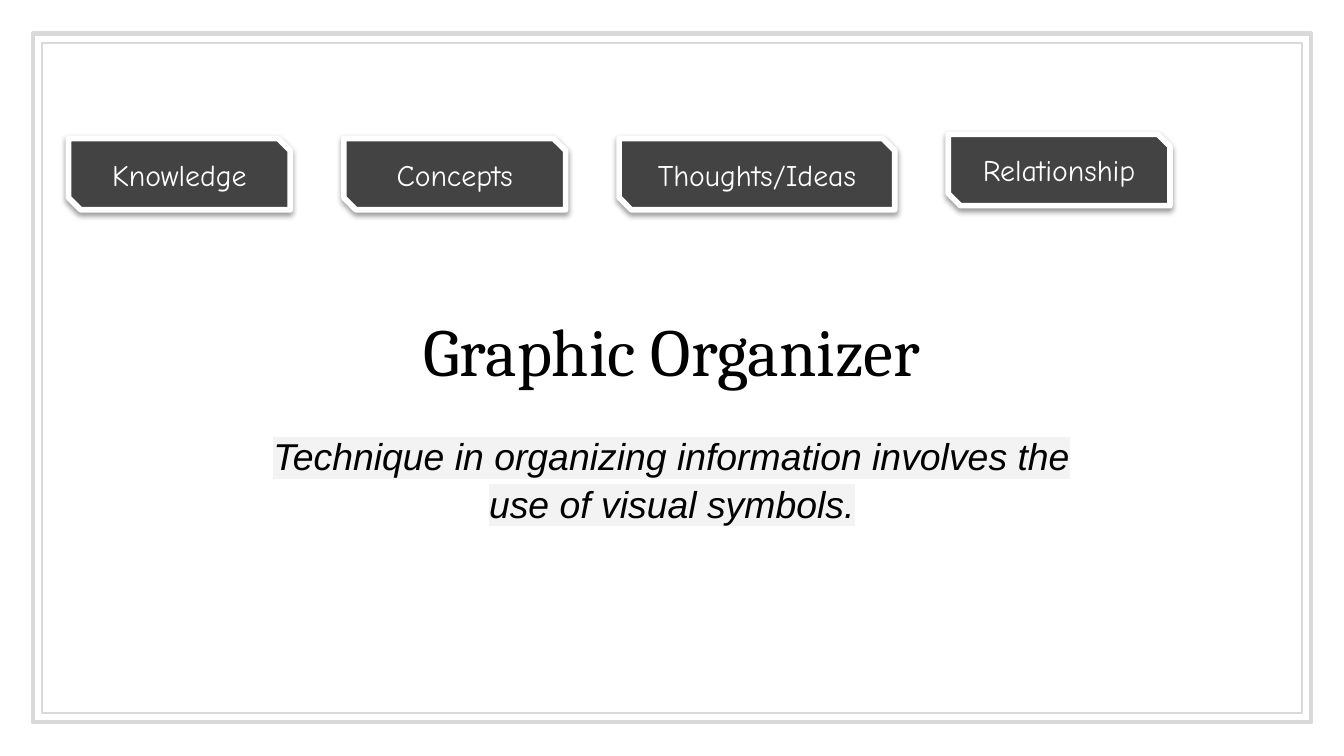
import dataclasses
import lxml.etree
import pptx
import pptx.dml.color
import pptx.enum.shapes
import pptx.enum.text
import pptx.oxml.ns
import pptx.util

Pt = pptx.util.Pt
qn = pptx.oxml.ns.qn


@dataclasses.dataclass(frozen=True)
class Theme:
    ink: str = "000000"
    paper: str = "FFFFFF"
    frame: str = "D9D9D9"
    tag: str = "434343"
    highlight: str = "F3F3F3"
    title_size: float = 36
    subtitle_size: float = 20
    tag_size: float = 16
    title_font: str = "Cambria"
    subtitle_font: str = "Arial"
    tag_font: str = "Comic Neue"


THEME = Theme()
SLIDE_WIDTH, SLIDE_HEIGHT = 720, 405
TITLE = "Graphic Organizer"
SUBTITLE = "Technique in organizing information involves the use of visual symbols."
FRAMES = [(17.5, 18, 2.25), (22.5, 23, 0.75)]
TAGS = [
    ("Knowledge", 118.8, 74.2),
    ("Concepts", 118.8, 74.2),
    ("Thoughts/Ideas", 147.6, 74.2),
    ("Relationship", 118.8, 72),
]
TAG_LEFT, TAG_HEIGHT, TAG_GAP = 36.7, 38.2, 28.7


def rgb(value):
    return pptx.dml.color.RGBColor.from_string(value)


def set_line(shape, color, width):
    shape.line.color.rgb = rgb(color)
    shape.line.width = Pt(width)


def place(shape, left, top, width, height):
    shape.left, shape.top = Pt(left), Pt(top)
    shape.width, shape.height = Pt(width), Pt(height)


def write(shape, text, size, font, color, anchor, inset):
    frame = shape.text_frame
    frame.word_wrap = True
    frame.auto_size = pptx.enum.text.MSO_AUTO_SIZE.NONE
    frame.vertical_anchor = anchor
    frame.margin_left = frame.margin_right = Pt(7.2)
    frame.margin_top = frame.margin_bottom = Pt(inset)
    paragraph = frame.paragraphs[0]
    paragraph.alignment = pptx.enum.text.PP_ALIGN.CENTER
    paragraph.space_before = Pt(0)
    paragraph.line_spacing = 1.0
    run = paragraph.add_run()
    run.text = text
    run.font.size = Pt(size)
    run.font.name = font
    run.font.color.rgb = rgb(color)
    return paragraph, run


def add_color(parent, value):
    return lxml.etree.SubElement(parent, qn("a:srgbClr"), val=value)


def add_highlight(run, color):
    fill = run.font._element.find(qn("a:solidFill"))
    highlight = lxml.etree.Element(qn("a:highlight"))
    add_color(highlight, color)
    fill.addnext(highlight)


def add_shadow(shape, blur, distance):
    shape.shadow.inherit = False
    effects = shape._element.spPr.find(qn("a:effectLst"))
    shadow = lxml.etree.SubElement(
        effects, qn("a:outerShdw"), blurRad=str(Pt(blur)), dist=str(Pt(distance)),
        dir="5400000", algn="t", rotWithShape="0",
    )
    lxml.etree.SubElement(add_color(shadow, THEME.ink), qn("a:alpha"), val="38000")


presentation = pptx.Presentation()
presentation.slide_width, presentation.slide_height = Pt(SLIDE_WIDTH), Pt(SLIDE_HEIGHT)
slide = presentation.slides.add_slide(presentation.slide_layouts[0])
shapes = slide.shapes
kinds = pptx.enum.shapes.MSO_SHAPE
anchors = pptx.enum.text.MSO_ANCHOR

for left, top, line_width in FRAMES:
    border = shapes.add_shape(
        kinds.RECTANGLE, Pt(left), Pt(top),
        Pt(SLIDE_WIDTH - 2 * left), Pt(SLIDE_HEIGHT - 2 * top),
    )
    border.shadow.inherit = False
    border.fill.background()
    set_line(border, THEME.frame, line_width)

title, subtitle = shapes.title, slide.placeholders[1]
place(title, 127.5, 124.6, 465, 91.4)
write(title, TITLE, THEME.title_size, THEME.title_font, THEME.ink, anchors.BOTTOM, 7.2)

place(subtitle, 127.5, 223.9, 465, 62)
paragraph, run = write(
    subtitle, SUBTITLE, THEME.subtitle_size, THEME.subtitle_font,
    THEME.ink, anchors.TOP, 7.2,
)
paragraph.line_spacing = 1.05
run.font.italic = True
add_highlight(run, THEME.highlight)

left = TAG_LEFT
for label, width, top in TAGS:
    tag = shapes.add_shape(
        kinds.SNIP_2_DIAG_RECTANGLE, Pt(left), Pt(top), Pt(width), Pt(TAG_HEIGHT)
    )
    tag.adjustments[0], tag.adjustments[1] = 0, 0.17
    tag.fill.solid()
    tag.fill.fore_color.rgb = rgb(THEME.tag)
    set_line(tag, THEME.paper, 3)
    add_shadow(tag, 3.1, 1.6)
    write(tag, label, THEME.tag_size, THEME.tag_font, THEME.paper, anchors.MIDDLE, 3.6)
    left += width + TAG_GAP

presentation.save("out.pptx")
